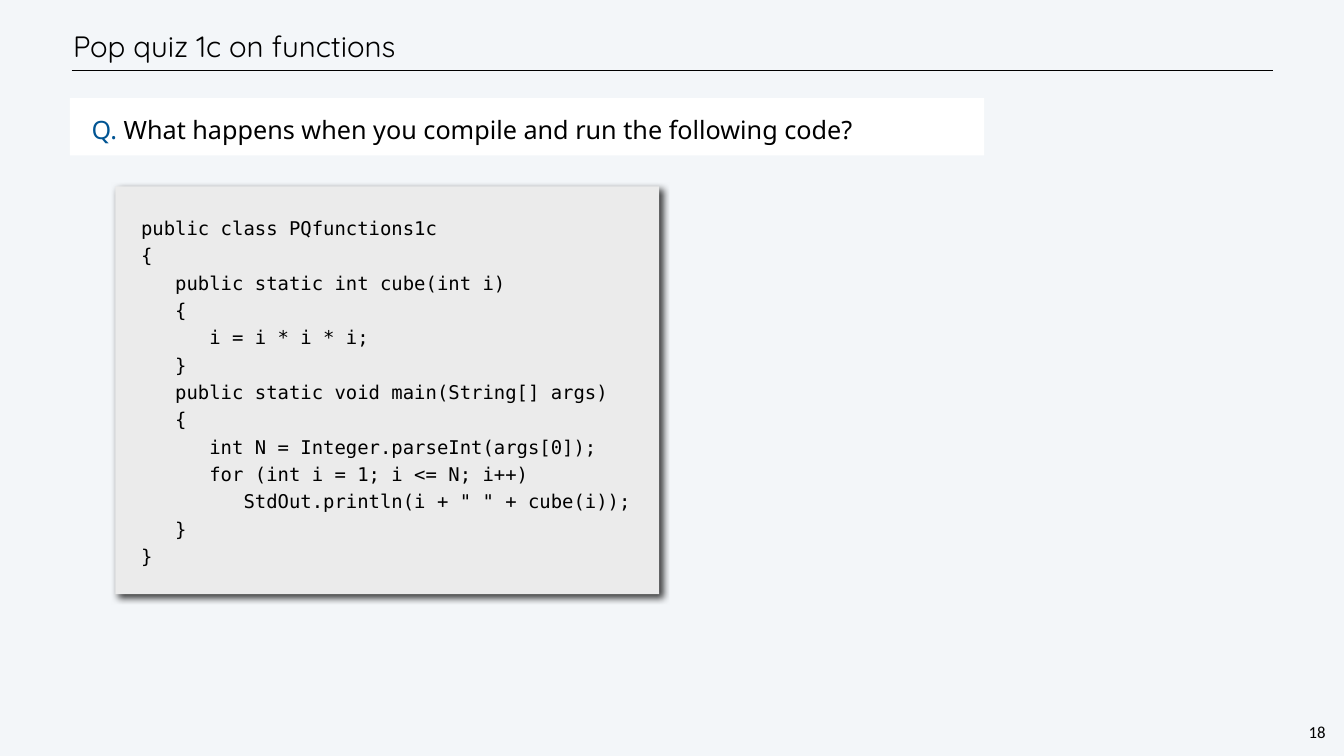
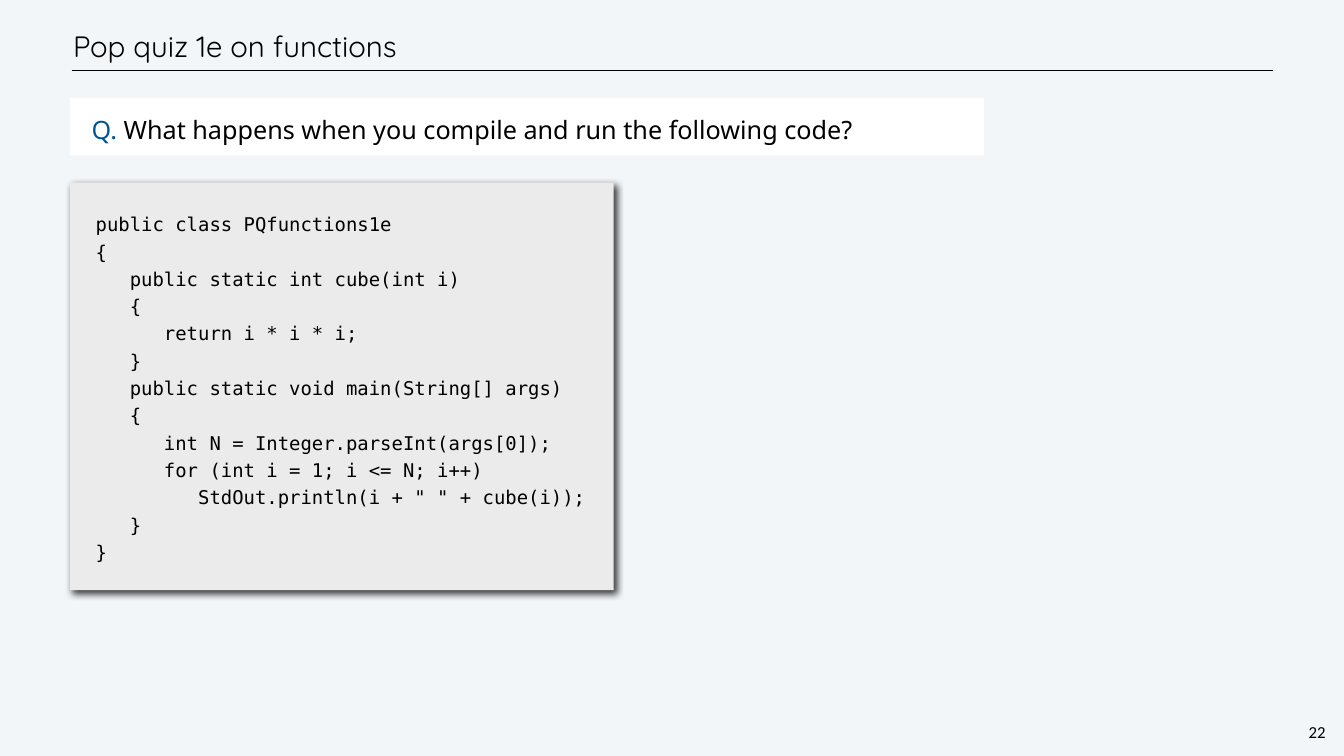
from lxml import etree
from pptx import Presentation
from pptx.dml.color import RGBColor
from pptx.enum.shapes import MSO_CONNECTOR, MSO_SHAPE
from pptx.enum.text import MSO_ANCHOR, MSO_AUTO_SIZE, PP_ALIGN
from pptx.oxml.ns import qn
from pptx.util import Inches, Pt

RECTANGLE = MSO_SHAPE.RECTANGLE
STRAIGHT = MSO_CONNECTOR.STRAIGHT
TOP, MIDDLE = MSO_ANCHOR.TOP, MSO_ANCHOR.MIDDLE
LEFT, CENTER = PP_ALIGN.LEFT, PP_ALIGN.CENTER

WIDTH, HEIGHT = Inches(26.67), Inches(15)
COLUMN, ROW = WIDTH / 96, HEIGHT / 54

COLORS = {
    "background": "F3F6F9",
    "ink": "000000",
    "question": "FFFFFF",
    "mark": "005493",
    "code": "EBEBEB",
}
# font, size and line spacing in points
STYLES = {
    "title": ("Quicksand", 42, 50),
    "question": ("Noto Sans", 36, 43),
    "code": ("DejaVu Sans Mono", 27, 39),
    "number": ("Calibri", 24, 28),
}

QUESTION = "What happens when you compile and run the following code?"
CODE = """\
public class {name}
{{
   public static int cube(int i)
   {{
      {body}
   }}
   public static void main(String[] args)
   {{
      int N = Integer.parseInt(args[0]);
      for (int i = 1; i <= N; i++)
         StdOut.println(i + " " + cube(i));
   }}
}}"""

# title, class name, body of cube, page number, column and row of the code
QUIZZES = [
    ("Pop quiz 1c on functions", "PQfunctions1c", "i = i * i * i;",
     "18", 8.24, 13.32),
    ("Pop quiz 1e on functions", "PQfunctions1e", "return i * i * i;",
     "22", 5, 13.04),
]


def color(name):
    return RGBColor.from_string(COLORS[name])


def grid(column, row, columns, rows):
    """Turn grid units into left, top, width and height."""
    return (round(column * COLUMN), round(row * ROW),
            round(columns * COLUMN), round(rows * ROW))


def write(shape, lines, style, inset, anchor=TOP, align=LEFT, wrap=True):
    """Fill a shape with lines, each a list of (text, color name) runs."""
    font, size, spacing = STYLES[style]
    frame = shape.text_frame
    frame.word_wrap = wrap
    frame.auto_size = MSO_AUTO_SIZE.NONE
    frame.vertical_anchor = anchor
    frame.margin_left = frame.margin_right = Inches(inset)
    frame.margin_top = frame.margin_bottom = Inches(inset)
    for index, line in enumerate(lines):
        para = frame.add_paragraph() if index else frame.paragraphs[0]
        para.alignment = align
        para.line_spacing = Pt(spacing)
        for text, ink in line:
            span = para.add_run()
            span.text = text
            span.font.name = font
            span.font.size = Pt(size)
            span.font.color.rgb = color(ink)


def add_panel(page, box, fill):
    panel = page.shapes.add_shape(RECTANGLE, *box)
    panel.shadow.inherit = False
    panel.fill.solid()
    panel.fill.fore_color.rgb = color(fill)
    panel.line.fill.background()
    return panel


def cast_shadow(shape):
    effects = shape._element.spPr.find(qn("a:effectLst"))
    shadow = etree.SubElement(
        effects, qn("a:outerShdw"), blurRad=str(Pt(10)), dist=str(Pt(6)),
        dir=str(45 * 60000), algn="tl", rotWithShape="0")
    tint = etree.SubElement(shadow, qn("a:srgbClr"), val=COLORS["ink"])
    etree.SubElement(tint, qn("a:alpha"), val="75000")


def add_title(page, box, title):
    write(page.shapes.add_textbox(*box), [[(title, "ink")]], "title", 0.06,
          anchor=MIDDLE)


def add_rule(page, box):
    left, top, width, height = box
    rule = page.shapes.add_connector(
        STRAIGHT, left, top, left + width, top + height)
    rule.line.color.rgb = color("ink")
    rule.line.width = Pt(1)
    etree.SubElement(rule._element.spPr, qn("a:effectLst"))


def add_question(page, box):
    panel = add_panel(page, box, "question")
    write(panel, [[("Q. ", "mark"), (QUESTION, "ink")]], "question", 0.33)
    panel.text_frame.margin_left = Inches(0.43)


def add_code(page, box, code):
    panel = add_panel(page, box, "code")
    cast_shadow(panel)
    write(panel, [[(line, "ink")] for line in code.split("\n")], "code", 0.51)


def add_number(page, box, number):
    write(page.shapes.add_textbox(*box), [[(number, "ink")]], "number", 0.04,
          align=CENTER, wrap=False)


def add_quiz(deck, title, name, body, number, column, row):
    page = deck.slides.add_slide(deck.slide_layouts[6])
    add_rule(page, grid(5.11, 5.04, 85.85, 0))
    add_title(page, grid(5, 1.5, 81.43, 3.56), title)
    add_question(page, grid(5, 7, 65.3, 4.1))
    add_number(page, grid(93.3, 51.44, 1.55, 1.69), number)
    add_code(page, grid(column, row, 38.84, 29.12),
             CODE.format(name=name, body=body))


def main():
    deck = Presentation()
    deck.slide_width, deck.slide_height = WIDTH, HEIGHT
    backdrop = deck.slide_master.background.fill
    backdrop.solid()
    backdrop.fore_color.rgb = color("background")
    for quiz in QUIZZES:
        add_quiz(deck, *quiz)
    deck.save("out.pptx")


if __name__ == "__main__":
    main()
